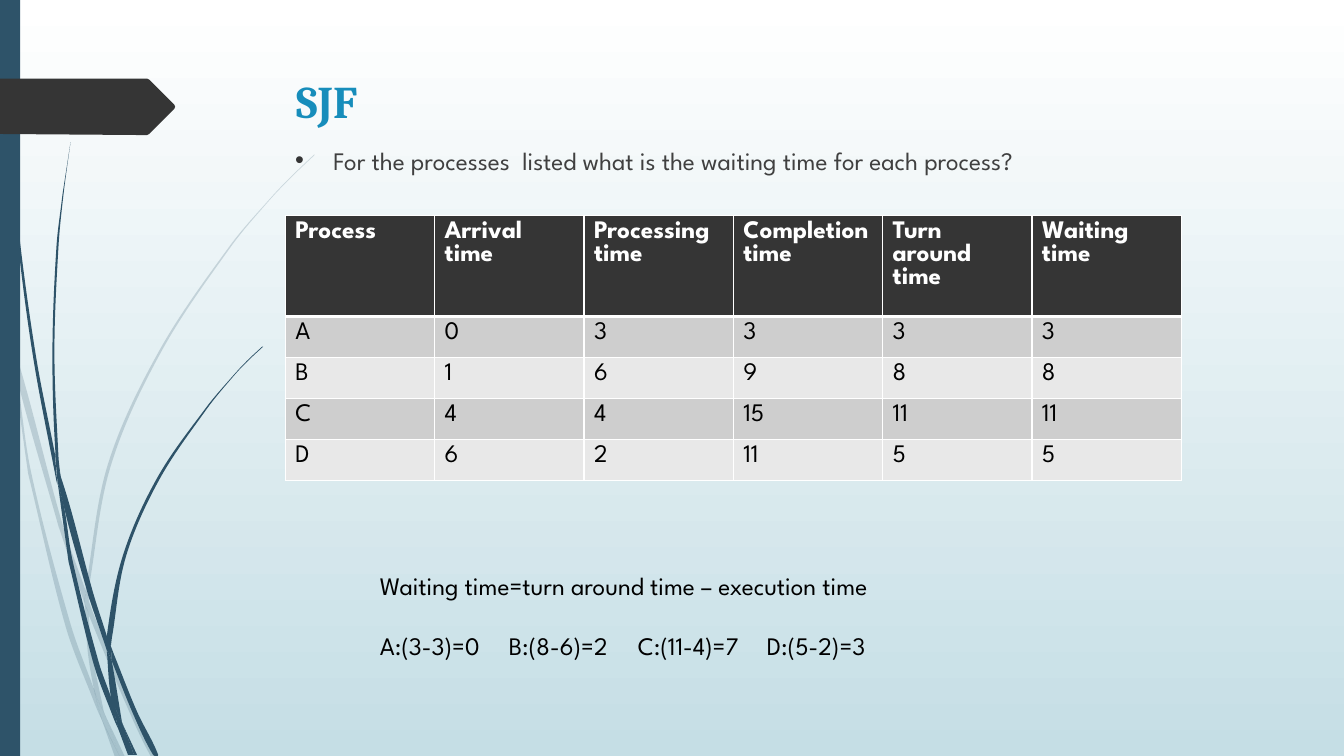
from math import dist
from typing import NamedTuple

from lxml import etree
from pptx import Presentation
from pptx.dml.color import RGBColor
from pptx.enum.shapes import MSO_SHAPE
from pptx.oxml.ns import qn
from pptx.util import Emu, Inches, Pt

# The slide is a grid of 1333 columns by 750 rows of equal square cells.
CELL = Inches(0.01)
SLIDE_COLS, SLIDE_ROWS = 1333.33, 750
NAVY, CHARCOAL, WHITE, BLACK = "2E5369", "353535", "FFFFFF", "000000"
BODY_FONT = "League Spartan"
BODY_SIZE = 18
TAB_STEP = 128

HEADINGS = ["Process", "Arrival time", "Processing time", "Completion time",
            "Turn around time", "Waiting time"]
PROCESSES = [
    ["A", 0, 3, 3, 3, 3],
    ["B", 1, 6, 9, 8, 8],
    ["C", 4, 4, 15, 11, 11],
    ["D", 6, 2, 11, 5, 5],
]
WAITS = ["A:(3-3)=0", "B:(8-6)=2", "C:(11-4)=7", "D:(5-2)=3"]
Point = tuple[float, float]


class Strand(NamedTuple):
    """Piece of a grass blade: one edge going there, the other coming back."""
    there: str
    back: str


class Style(NamedTuple):
    """Look of a run of text."""
    color: str
    size: float = BODY_SIZE
    font: str = BODY_FONT
    bold: bool = False


FAINT_GRASS = [
    Strand("11,350 9,322 0,282", "0,299 10,344 11,350"),
    Strand("58,522 84,599", "85,586 62,520 14,345 17,376 58,522"),
    Strand("92,607 88,596", "88,610 123,694 150,751 155,751 127,692 92,607"),
    Strand("119,751 124,751", "105,711 119,751"),
    Strand("93,683 70,619 31,469 17,376 11,350", "28,470 65,621 92,693 101,714 99,707 93,683"),
    Strand("84,599 87,646 93,683 96,692 105,711", "103,706 91,646 88,610 88,608 84,599"),
    Strand("88,584 110,462 160,349 229,245 268,198 290,175 312,154",
           "312,153 289,175 268,197 228,244 158,348 107,461 85,584 85,586 88,596"),
    Strand("101,714 114,751", "119,751 101,714"),
    Strand("88,608 88,610 88,596", "85,586 84,599 88,608"),
    Strand("96,692 93,683 99,707 101,714 119,751", "105,711 96,692"),
]
DARK_GRASS = [
    Strand("7,110 17,233 33,355 56,477 57,481",
           "55,457 55,453 36,355 19,232 8,109 5,48 4,0 3,0 4,48 7,110"),
    Strand("88,592 106,645", "106,633 106,631 93,590 60,472 64,505 88,592"),
    Strand("113,649 110,641", "111,656 132,708 152,749 157,749 136,706 113,649"),
    Strand("110,691 98,657 72,556 64,505 57,477", "68,557 93,659 111,708 117,722 116,717 110,691"),
    Strand("60,472 58,453 54,349 58,245 63,193 70,141", "62,193 56,245 52,349 55,449 60,472"),
    Strand("133,749 136,749", "122,719 133,749"),
    Strand("57,477 64,505", "60,472 55,449 55,453 57,477"),
    Strand("111,633 125,552 158,476 205,406 231,374 245,359 261,344",
           "260,344 245,358 231,373 204,405 156,474 122,551 106,631 110,641"),
    Strand("117,722 127,749", "131,749 117,722"),
    Strand("106,645 110,691 116,706 122,719", "121,716 111,656 109,651 106,645"),
    Strand("106,645 109,651 111,656", "110,641 106,631 106,633 106,645"),
    Strand("116,706 110,691 116,717 117,722 130,749", "133,749 122,719 116,706"),
]
TAG_OUTLINE = [(173, 108), (148, 133), (146, 134), (136, 134), (0, 133), (0, 78),
               (136, 78), (146, 78), (148, 79), (173, 104), (173.75, 106)]


def rgb(color: str) -> RGBColor:
    """Turn a hex string into a colour."""
    return RGBColor.from_string(color)


def grid(cells: float) -> Emu:
    """Length of a number of grid cells."""
    return Emu(round(cells * CELL))


def parse_edge(text: str) -> list[Point]:
    """Read the points of an edge."""
    return [tuple(map(float, pair.split(","))) for pair in text.split()]


def handles(edge: list[Point]) -> list[tuple[Point, Point]]:
    """Bezier handles that pass smoothly through each point of an edge."""
    ends = [edge[0], *edge, edge[-1]]
    result = []
    for before, start, stop, after in zip(ends, ends[1:], ends[2:], ends[3:]):
        reach = dist(start, stop) / 3
        lead, trail = (reach / (dist(a, b) or 1) for a, b in ((before, stop), (start, after)))
        result.append((
            (start[0] + (stop[0] - before[0]) * lead, start[1] + (stop[1] - before[1]) * lead),
            (stop[0] - (after[0] - start[0]) * trail, stop[1] - (after[1] - start[1]) * trail)))
    return result


def paint(shape, color: str, opacity: int = 100) -> None:
    """Give a shape a flat fill without line or shadow."""
    shape.shadow.inherit = False
    shape.fill.solid()
    shape.fill.fore_color.rgb = rgb(color)
    shape.line.fill.background()
    if opacity < 100:
        clr = shape._element.spPr.find(qn("a:solidFill"))[0]
        etree.SubElement(clr, qn("a:alpha"), val=str(opacity * 1000))


def add_outline(slide, points: list[Point], color: str, opacity: int = 100):
    """Draw a closed filled outline."""
    corners = [(grid(x), grid(y)) for x, y in points]
    builder = slide.shapes.build_freeform(*corners[0], scale=1.0)
    builder.add_line_segments(corners[1:], close=True)
    shape = builder.convert_to_shape()
    paint(shape, color, opacity)
    return shape


def add_strand(slide, strand: Strand, opacity: int) -> None:
    """Draw a piece of grass with smoothly curved edges."""
    there, back = parse_edge(strand.there), parse_edge(strand.back)
    shape = add_outline(slide, there + back, NAVY, opacity)
    bends = handles(there) + [None] + handles(back)
    for line, bend in zip(list(shape._element.iter(qn("a:lnTo"))), bends):
        if bend is None:
            continue
        line.tag = qn("a:cubicBezTo")
        for i, (x, y) in enumerate(bend):
            point = etree.Element(qn("a:pt"), x=str(grid(x) - shape.left), y=str(grid(y) - shape.top))
            line.insert(i, point)


def write(paragraph, text: str, style: Style) -> None:
    """Add a styled run to a paragraph."""
    run = paragraph.add_run()
    run.text = text
    run.font.name, run.font.size, run.font.bold = style.font, Pt(style.size), style.bold
    run.font.color.rgb = rgb(style.color)


def add_text(slide, left: float, top: float, width: float, height: float):
    """Add a wrapping text box and return its frame."""
    frame = slide.shapes.add_textbox(*map(grid, (left, top, width, height))).text_frame
    frame.word_wrap = True
    return frame


def add_bullet(paragraph, indent: float, color: str) -> None:
    """Give a paragraph a hanging round bullet."""
    props = paragraph._p.get_or_add_pPr()
    props.set("marL", str(grid(indent)))
    props.set("indent", str(-grid(indent)))
    etree.SubElement(etree.SubElement(props, qn("a:buClr")), qn("a:srgbClr"), val=color)
    etree.SubElement(props, qn("a:buFont"), typeface="Arial")
    etree.SubElement(props, qn("a:buChar"), char="•")


def add_tabs(paragraph, count: int) -> None:
    """Set evenly spaced tab stops."""
    tabs = etree.SubElement(paragraph._p.get_or_add_pPr(), qn("a:tabLst"))
    for i in range(1, count + 1):
        etree.SubElement(tabs, qn("a:tab"), pos=str(grid(i * TAB_STEP)), algn="l")


def border(cell, top: float, bottom: float) -> None:
    """Draw white cell borders, one point wide at the sides."""
    props = cell._tc.get_or_add_tcPr()
    for i, (side, width) in enumerate(zip("LRTB", (1, 1, top, bottom))):
        line = etree.Element(qn(f"a:ln{side}"), w=str(Pt(width)))
        fill = etree.SubElement(line, qn("a:solidFill"))
        etree.SubElement(fill, qn("a:srgbClr"), val=WHITE)
        props.insert(i, line)


def add_process_table(slide) -> None:
    """Draw the table of process times."""
    rows = [HEADINGS, *PROCESSES]
    table = slide.shapes.add_table(len(rows), len(HEADINGS), *map(grid, (283, 214, 889, 203))).table
    for r, values in enumerate(rows):
        color = CHARCOAL if r == 0 else ("E8E8E8", "CECECE")[r % 2]
        for cell, value in zip(table.rows[r].cells, values):
            cell.fill.solid()
            cell.fill.fore_color.rgb = rgb(color)
            border(cell, 3 if r == 1 else 1, 3 if r == 0 else 1)
            write(cell.text_frame.paragraphs[0], str(value), Style(BLACK if r else WHITE, bold=r == 0))


def main() -> None:
    """Build and save the slide."""
    deck = Presentation()
    deck.slide_width, deck.slide_height = grid(SLIDE_COLS), grid(SLIDE_ROWS)
    slide = deck.slides.add_slide(deck.slide_layouts[6])
    backdrop = slide.background.fill
    backdrop.gradient()
    backdrop.gradient_angle = 270
    for stop, color, position in zip(backdrop.gradient_stops, (WHITE, "C5DEE5"), (0, 1)):
        stop.color.rgb, stop.position = rgb(color), position
    for grass, opacity in ((FAINT_GRASS, 20), (DARK_GRASS, 100)):
        for strand in grass:
            add_strand(slide, strand, opacity)
    paint(slide.shapes.add_shape(MSO_SHAPE.RECTANGLE, 0, 0, grid(20), grid(SLIDE_ROWS)), NAVY)
    add_outline(slide, TAG_OUTLINE, CHARCOAL)

    title = add_text(slide, 284, 68, 975, 56).paragraphs[0]
    write(title, "SJF", Style("178DBB", 32.4, "Cambria", True))
    question = add_text(slide, 283, 139, 975, 579).paragraphs[0]
    question.space_before = Pt(10)
    add_bullet(question, 38, CHARCOAL)
    write(question, "For the processes  listed what is the waiting time for each process?", Style("404040"))
    add_process_table(slide)
    answer = add_text(slide, 367, 561, 842, 101)
    write(answer.paragraphs[0], "Waiting time=turn around time – execution time", Style(BLACK))
    waits = answer.add_paragraph()
    waits.space_before = Pt(21)
    add_tabs(waits, len(WAITS) - 1)
    write(waits, "\t".join(WAITS), Style(BLACK))
    deck.save("out.pptx")


main()
